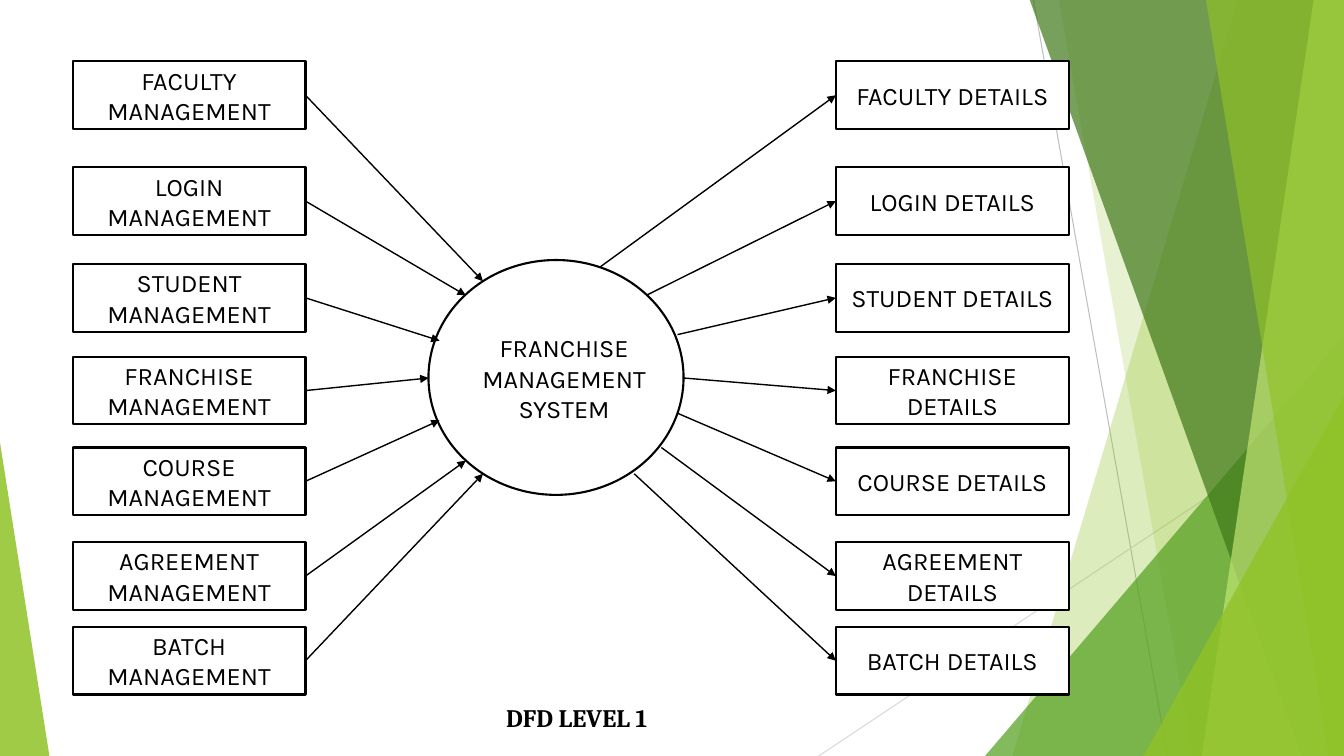
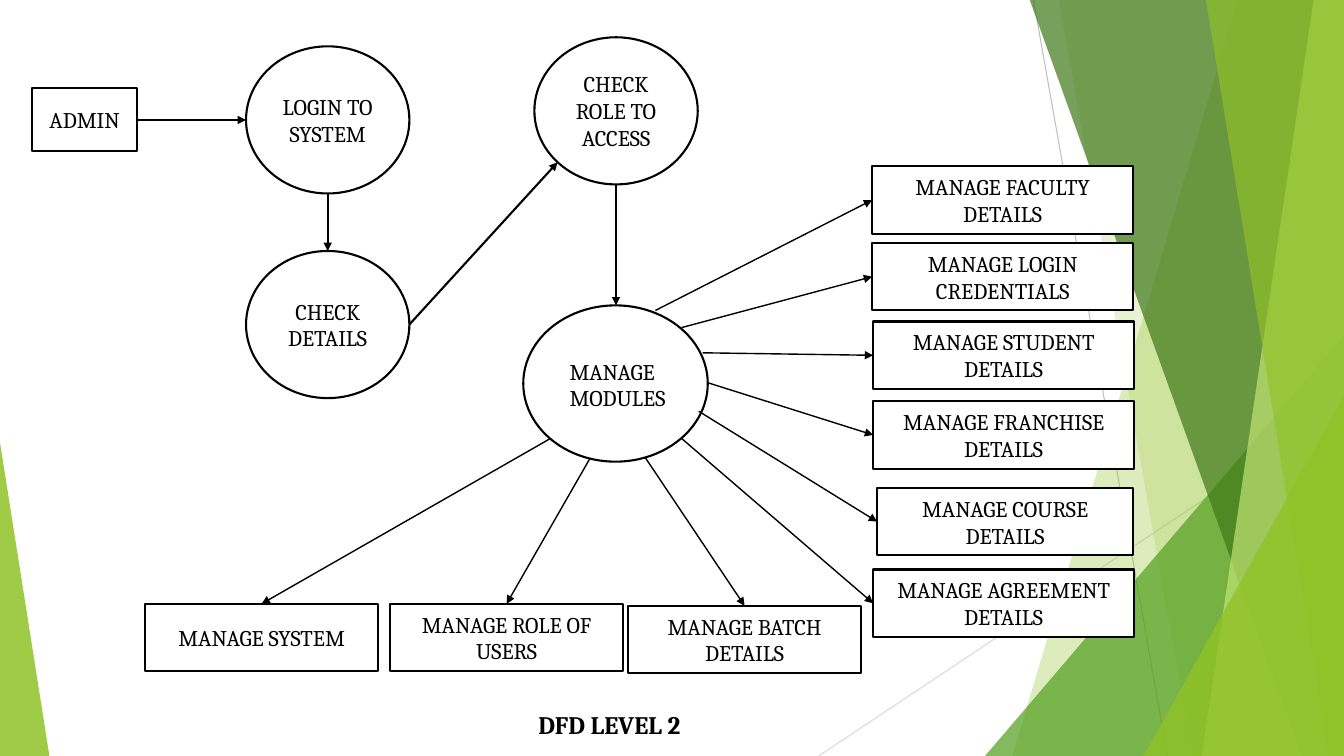
from dataclasses import dataclass
from typing import NamedTuple

from lxml.etree import SubElement
from pptx import Presentation
from pptx.dml.color import RGBColor
from pptx.enum.dml import MSO_LINE
from pptx.enum.shapes import MSO_CONNECTOR, MSO_SHAPE
from pptx.enum.text import MSO_ANCHOR, MSO_AUTO_SIZE, PP_ALIGN
from pptx.oxml.ns import qn
from pptx.util import Inches, Pt


@dataclass(frozen=True)
class Theme:
    ink: str = "000000"
    paper: str = "FFFFFF"
    lime: str = "90C226"
    pale_lime: str = "C0E474"
    green: str = "54A021"
    forest: str = "3F7819"
    gray: str = "BFBFBF"
    light_gray: str = "D9D9D9"
    sans: str = "Karla"
    serif: str = "Cambria"
    large: float = 18
    small: float = 16
    outline: float = 1.5
    arrow: float = 1
    hairline: float = 0.75


THEME = Theme()
WIDTH, HEIGHT, BLEED = 13.33, 7.5, -0.01


class Point(NamedTuple):
    x: float
    y: float


class Area(NamedTuple):
    left: float
    top: float
    width: float
    height: float

    def lengths(self) -> list:
        return [Inches(value) for value in self]

    def left_middle(self) -> Point:
        return Point(self.left, self.top + self.height / 2)

    def right_middle(self) -> Point:
        return Point(self.left + self.width, self.top + self.height / 2)

    def top_center(self) -> Point:
        return Point(self.left + self.width / 2, self.top)


@dataclass(frozen=True)
class Band:
    """A band from a slanted left edge to the right side of the slide."""
    top_x: float
    bottom_x: float
    color: str
    opacity: int


@dataclass(frozen=True)
class Corner:
    """A right triangle standing on the bottom edge."""
    area: Area
    apex: float
    color: str
    opacity: int


@dataclass(frozen=True)
class Node:
    label: str
    area: Area
    shape: MSO_SHAPE = MSO_SHAPE.RECTANGLE


@dataclass(frozen=True)
class TextStyle:
    font: str
    size: float
    bold: bool = False
    align: PP_ALIGN = PP_ALIGN.CENTER


KARLA = TextStyle(THEME.sans, THEME.large)
CAMBRIA = TextStyle(THEME.serif, THEME.small)
CAMBRIA_LEFT = TextStyle(THEME.serif, THEME.small, align=PP_ALIGN.LEFT)
CAPTION = TextStyle(THEME.serif, THEME.large, True)
CAPTION_LEFT = TextStyle(THEME.serif, THEME.large, True, PP_ALIGN.LEFT)

DECORATION = [
    Band(12.28, 10.04, THEME.lime, 30),
    Band(10.5, 11.83, THEME.lime, 20),
    Corner(Area(9.77, 3.33, 3.56, 4.17), 1, THEME.green, 72),
    Band(10.21, 12.91, THEME.forest, 70),
    Band(13.03, 11.92, THEME.pale_lime, 70),
    Band(11.96, 13.18, THEME.lime, 65),
    Corner(Area(11.34, 3.93, 1.99, 3.57), 1, THEME.lime, 80),
    Corner(Area(0, 4.39, 0.49, 3.11), 0, THEME.lime, 85),
]


# Drawing helpers
def add_line(page, start: Point, end: Point, width: float,
             color: str = THEME.ink, arrow: bool = True) -> None:
    line = page.shapes.add_connector(
        MSO_CONNECTOR.STRAIGHT, *[Inches(value) for value in (*start, *end)])
    line.line.color.rgb = RGBColor.from_string(color)
    line.line.width = Pt(width)
    line.line.dash_style = MSO_LINE.SOLID
    properties = line.element.spPr
    if arrow:
        SubElement(properties.find(qn("a:ln")), qn("a:tailEnd"), type="triangle")
    SubElement(properties, qn("a:effectLst"))


def write(frame, lines: list[str], style: TextStyle) -> None:
    frame.word_wrap = True
    for index, text in enumerate(lines):
        para = frame.add_paragraph() if index else frame.paragraphs[0]
        para.text = text
        para.alignment = style.align
        para.font.name = style.font
        para.font.size = Pt(style.size)
        para.font.bold = style.bold
        para.font.color.rgb = RGBColor.from_string(THEME.ink)


def add_text(page, area: Area, lines: list[str], style: TextStyle) -> None:
    frame = page.shapes.add_textbox(*area.lengths()).text_frame
    write(frame, lines, style)
    frame.auto_size = MSO_AUTO_SIZE.SHAPE_TO_FIT_TEXT


def add_node(page, node: Node, style: TextStyle) -> None:
    shape = page.shapes.add_shape(node.shape, *node.area.lengths())
    shape.shadow.inherit = False
    shape.fill.solid()
    shape.fill.fore_color.rgb = RGBColor.from_string(THEME.paper)
    shape.line.color.rgb = RGBColor.from_string(THEME.ink)
    shape.line.width = Pt(THEME.outline)
    if node.label:
        shape.text_frame.vertical_anchor = MSO_ANCHOR.MIDDLE
        write(shape.text_frame, [node.label], style)


def add_facet(page, facet: Band | Corner) -> None:
    if isinstance(facet, Band):
        corners = [(facet.top_x, BLEED), (WIDTH, BLEED),
                   (WIDTH, HEIGHT), (facet.bottom_x, HEIGHT)]
        points = [(Inches(x), Inches(y)) for x, y in corners]
        builder = page.shapes.build_freeform(*points[0])
        builder.add_line_segments(points[1:], close=True)
        shape = builder.convert_to_shape()
    else:
        shape = page.shapes.add_shape(
            MSO_SHAPE.ISOSCELES_TRIANGLE, *facet.area.lengths())
        shape.adjustments[0] = facet.apex
    shape.shadow.inherit = False
    shape.line.fill.background()
    shape.fill.solid()
    shape.fill.fore_color.rgb = RGBColor.from_string(facet.color)
    color = shape.element.spPr.find(qn("a:solidFill"))[0]
    SubElement(color, qn("a:alpha"), val=str(facet.opacity * 1000))


def decorate_layout(page) -> None:
    """Draw the shared background, then hand it to the page's layout."""
    layout = page.slide_layout
    for placeholder in list(layout.placeholders):
        layout.shapes.element.remove(placeholder.element)
    add_line(page, Point(10.25, 0), Point(11.58, HEIGHT),
             THEME.hairline, THEME.gray, arrow=False)
    add_line(page, Point(WIDTH, 4.03), Point(8.12, HEIGHT),
             THEME.hairline, THEME.light_gray, arrow=False)
    for facet in DECORATION:
        add_facet(page, facet)
    for shape in list(page.shapes):
        layout.shapes.element.append(shape.element)


# Level 1: each row runs from a management box through the system to details
class Row(NamedTuple):
    subject: str
    top: float
    inlet: Point
    outlet: Point


ROWS = [
    Row("FACULTY", 0.61, Point(4.79, 2.79), Point(5.95, 2.65)),
    Row("LOGIN", 1.66, Point(4.62, 2.93), Point(6.41, 2.93)),
    Row("STUDENT", 2.62, Point(4.36, 3.38), Point(6.72, 3.32)),
    Row("FRANCHISE", 3.54, Point(4.25, 3.75), Point(6.78, 3.75)),
    Row("COURSE", 4.44, Point(4.36, 4.17), Point(6.72, 4.1)),
    Row("AGREEMENT", 5.38, Point(4.62, 4.57), Point(6.56, 4.44)),
    Row("BATCH", 6.22, Point(4.79, 4.7), Point(6.29, 4.7)),
]
BOX_WIDTH, BOX_HEIGHT = 2.31, 0.67


def draw_level_one(page) -> None:
    add_node(page, Node("", Area(4.25, 2.58, 2.53, 2.33), MSO_SHAPE.OVAL), KARLA)
    add_text(page, Area(4.68, 3.25, 1.83, 1.01),
             ["FRANCHISE", "MANAGEMENT", "SYSTEM"], KARLA)
    for row in ROWS:
        source = Area(0.72, row.top, BOX_WIDTH, BOX_HEIGHT)
        target = Area(8.29, row.top, BOX_WIDTH, BOX_HEIGHT)
        add_node(page, Node(f"{row.subject} MANAGEMENT", source), KARLA)
        add_node(page, Node(f"{row.subject} DETAILS", target), KARLA)
        add_line(page, source.right_middle(), row.inlet, THEME.arrow)
        add_line(page, row.outlet, target.left_middle(), THEME.arrow)
    add_text(page, Area(4.25, 6.92, 2.94, 0.4), ["DFD LEVEL 1"], CAPTION)


# Level 2: login steps lead to the modules, which fan out right and down
class Module(NamedTuple):
    label: str
    left: float
    top: float
    width: float
    outlet: Point


STEPS = [
    Node("ADMIN", Area(0.32, 0.87, 1.04, 0.63)),
    Node("LOGIN TO SYSTEM", Area(2.44, 0.46, 1.62, 1.46),
         MSO_SHAPE.FLOWCHART_CONNECTOR),
    Node("CHECK ROLE TO ACCESS", Area(5.3, 0.37, 1.62, 1.46),
         MSO_SHAPE.FLOWCHART_CONNECTOR),
    Node("CHECK DETAILS", Area(2.44, 2.49, 1.62, 1.46),
         MSO_SHAPE.FLOWCHART_CONNECTOR),
]
STEP_ARROWS = [
    (Point(1.36, 1.19), Point(2.44, 1.19)),
    (Point(3.25, 1.92), Point(3.25, 2.49)),
    (Point(4.06, 3.22), Point(5.53, 1.61)),
    (Point(6.11, 1.83), Point(6.11, 3.03)),
]
SIDE_MODULES = [
    Module("MANAGE FACULTY DETAILS", 8.65, 1.65, 2.59, Point(6.5, 3.08)),
    Module("MANAGE LOGIN CREDENTIALS", 8.65, 2.41, 2.59, Point(6.76, 3.25)),
    Module("MANAGE STUDENT DETAILS", 8.66, 3.19, 2.59, Point(6.97, 3.5)),
    Module("MANAGE FRANCHISE DETAILS", 8.66, 3.98, 2.59, Point(7.03, 3.8)),
    Module("MANAGE COURSE DETAILS", 8.7, 4.84, 2.54, Point(6.93, 4.08)),
    Module("MANAGE AGREEMENT DETAILS", 8.66, 5.65, 2.59, Point(6.76, 4.35)),
]
BOTTOM_MODULES = [
    Module("MANAGE SYSTEM", 1.44, 5.99, BOX_WIDTH, Point(5.46, 4.35)),
    Module("MANAGE ROLE OF USERS", 3.87, 5.99, BOX_WIDTH, Point(5.85, 4.55)),
    Module("MANAGE BATCH DETAILS", 6.23, 6.01, BOX_WIDTH, Point(6.4, 4.54)),
]


def draw_level_two(page) -> None:
    add_node(page, Node("", Area(5.19, 3.03, 1.83, 1.55), MSO_SHAPE.OVAL), CAMBRIA)
    add_text(page, Area(5.55, 3.5, 1.28, 0.64), ["MANAGE MODULES"], CAMBRIA_LEFT)
    for step in STEPS:
        add_node(page, step, CAMBRIA)
    for start, end in STEP_ARROWS:
        add_line(page, start, end, THEME.outline)
    for modules, entry in ((SIDE_MODULES, Area.left_middle),
                           (BOTTOM_MODULES, Area.top_center)):
        for module in modules:
            area = Area(module.left, module.top, module.width, BOX_HEIGHT)
            add_node(page, Node(module.label, area), CAMBRIA)
            add_line(page, module.outlet, entry(area), THEME.arrow)
    add_text(page, Area(5.24, 6.99, 1.88, 0.4), ["DFD LEVEL 2"], CAPTION_LEFT)


def main() -> None:
    deck = Presentation()
    deck.slide_width, deck.slide_height = Inches(WIDTH), Inches(HEIGHT)
    blank = deck.slide_layouts[6]
    pages = [deck.slides.add_slide(blank) for _ in range(2)]
    decorate_layout(pages[0])
    draw_level_one(pages[0])
    draw_level_two(pages[1])
    deck.save("out.pptx")


if __name__ == "__main__":
    main()
